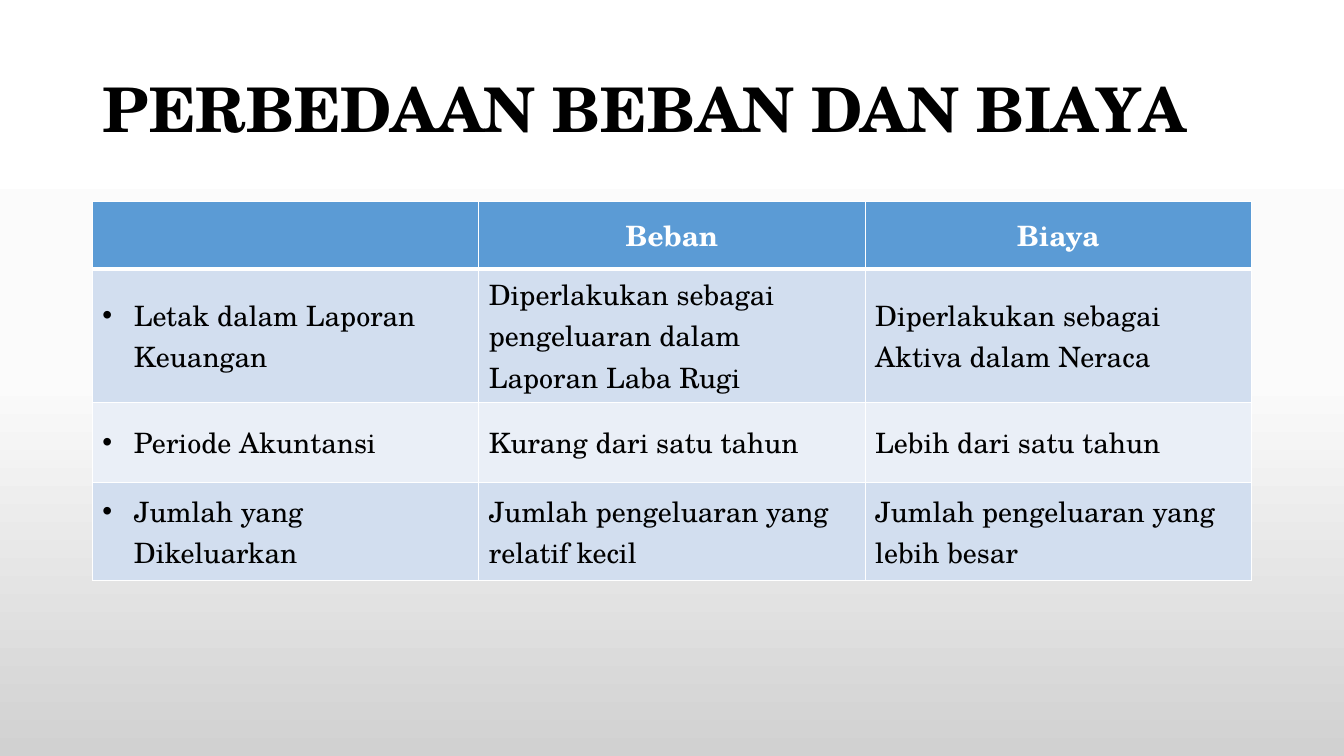
from copy import deepcopy
from dataclasses import dataclass

from lxml.etree import SubElement
from pptx import Presentation
from pptx.dml.color import RGBColor
from pptx.enum.text import MSO_ANCHOR, MSO_AUTO_SIZE, PP_ALIGN
from pptx.oxml.ns import qn
from pptx.slide import Slide
from pptx.table import _Cell
from pptx.text.text import _Paragraph
from pptx.util import Emu, Pt

EMU_PER_PX = 9525
FONT = "TeX Gyre Schola"
WHITE, BLACK = "FFFFFF", "000000"
HEADER_BLUE, BAND_DARK, BAND_LIGHT = "5B9BD5", "D2DEEF", "EAEFF7"
BACKGROUND_STOPS = [(0.0, "FFFFFF"), (0.5, "FBFBFB"), (1.0, "D1D1D1")]
LEFT, WIDTH = 88, 1104
TABLE_TOP = 192
BULLET_INDENT = 30


@dataclass
class TableRow:
    height: int
    fill: str
    texts: tuple[str, str, str]
    header: bool = False


ROWS = [
    TableRow(64, HEADER_BLUE, ("", "Beban", "Biaya"), header=True),
    TableRow(113, BAND_DARK, (
        "Letak dalam Laporan Keuangan",
        "Diperlakukan sebagai pengeluaran dalam Laporan Laba Rugi",
        "Diperlakukan sebagai Aktiva dalam Neraca",
    )),
    TableRow(76, BAND_LIGHT, (
        "Periode Akuntansi",
        "Kurang dari satu tahun",
        "Lebih dari satu tahun",
    )),
    TableRow(94, BAND_DARK, (
        "Jumlah yang Dikeluarkan",
        "Jumlah pengeluaran yang relatif kecil",
        "Jumlah pengeluaran yang lebih besar",
    )),
]


def px(length: int) -> Emu:
    return Emu(length * EMU_PER_PX)


def color(value: str) -> RGBColor:
    return RGBColor.from_string(value)


def add_run(paragraph: _Paragraph, text: str, size: int, ink: str, bold: bool) -> None:
    run = paragraph.add_run()
    run.text = text
    run.font.name = FONT
    run.font.size = Pt(size)
    run.font.bold = bold
    run.font.color.rgb = color(ink)


def add_bullet(paragraph: _Paragraph) -> None:
    properties = paragraph._p.get_or_add_pPr()
    properties.set("marL", str(px(BULLET_INDENT)))
    properties.set("indent", str(-px(BULLET_INDENT)))
    SubElement(properties, qn("a:buFont"), typeface="Arial")
    SubElement(properties, qn("a:buChar"), char="•")


def set_borders(cell: _Cell, top: int, bottom: int) -> None:
    """Draw white borders; top and bottom widths are in points."""
    properties = cell._tc.get_or_add_tcPr()
    for side, width in {"L": 1, "R": 1, "T": top, "B": bottom}.items():
        line = SubElement(properties, qn(f"a:ln{side}"), w=str(Pt(width)))
        SubElement(SubElement(line, qn("a:solidFill")), qn("a:srgbClr"), val=WHITE)


def paint_background(slide: Slide) -> None:
    fill = slide.background.fill
    fill.gradient()
    fill.gradient_angle = 270
    stop_list = slide.element.find(f".//{qn('a:gsLst')}")
    stop_list.append(deepcopy(stop_list[-1]))
    for stop, (position, value) in zip(fill.gradient_stops, BACKGROUND_STOPS):
        stop.position = position
        stop.color.rgb = color(value)


def fill_title(slide: Slide) -> None:
    title = slide.shapes.title
    title.left, title.top = px(LEFT), px(38)
    title.width, title.height = px(WIDTH), px(139)
    frame = title.text_frame
    frame.auto_size = MSO_AUTO_SIZE.NONE
    frame.vertical_anchor = MSO_ANCHOR.MIDDLE
    paragraph = frame.paragraphs[0]
    paragraph.alignment = PP_ALIGN.LEFT
    paragraph.line_spacing = 0.9
    add_run(paragraph, "PERBEDAAN BEBAN DAN BIAYA", 44, BLACK, bold=True)


def fill_cell(cell: _Cell, text: str, row: TableRow, bulleted: bool) -> None:
    cell.vertical_anchor = MSO_ANCHOR.MIDDLE
    cell.fill.solid()
    cell.fill.fore_color.rgb = color(row.fill)
    if not text:
        return
    paragraph = cell.text_frame.paragraphs[0]
    paragraph.alignment = PP_ALIGN.CENTER if row.header else PP_ALIGN.LEFT
    if bulleted:
        add_bullet(paragraph)
    add_run(paragraph, text, 20, WHITE if row.header else BLACK, bold=row.header)


def add_comparison_table(slide: Slide) -> None:
    column_count = len(ROWS[0].texts)
    height = sum(row.height for row in ROWS)
    table = slide.shapes.add_table(
        len(ROWS), column_count, px(LEFT), px(TABLE_TOP), px(WIDTH), px(height)
    ).table
    for column in table.columns:
        column.width = px(WIDTH // column_count)
    for row_index, row in enumerate(ROWS):
        table.rows[row_index].height = px(row.height)
        for column_index, text in enumerate(row.texts):
            cell = table.cell(row_index, column_index)
            set_borders(cell, top=3 if row_index == 1 else 1, bottom=3 if row.header else 1)
            fill_cell(cell, text, row, bulleted=column_index == 0)


def main() -> None:
    presentation = Presentation()
    presentation.slide_width, presentation.slide_height = px(1280), px(720)
    slide = presentation.slides.add_slide(presentation.slide_layouts.get_by_name("Title Only"))
    paint_background(slide)
    fill_title(slide)
    add_comparison_table(slide)
    presentation.save("out.pptx")


if __name__ == "__main__":
    main()
